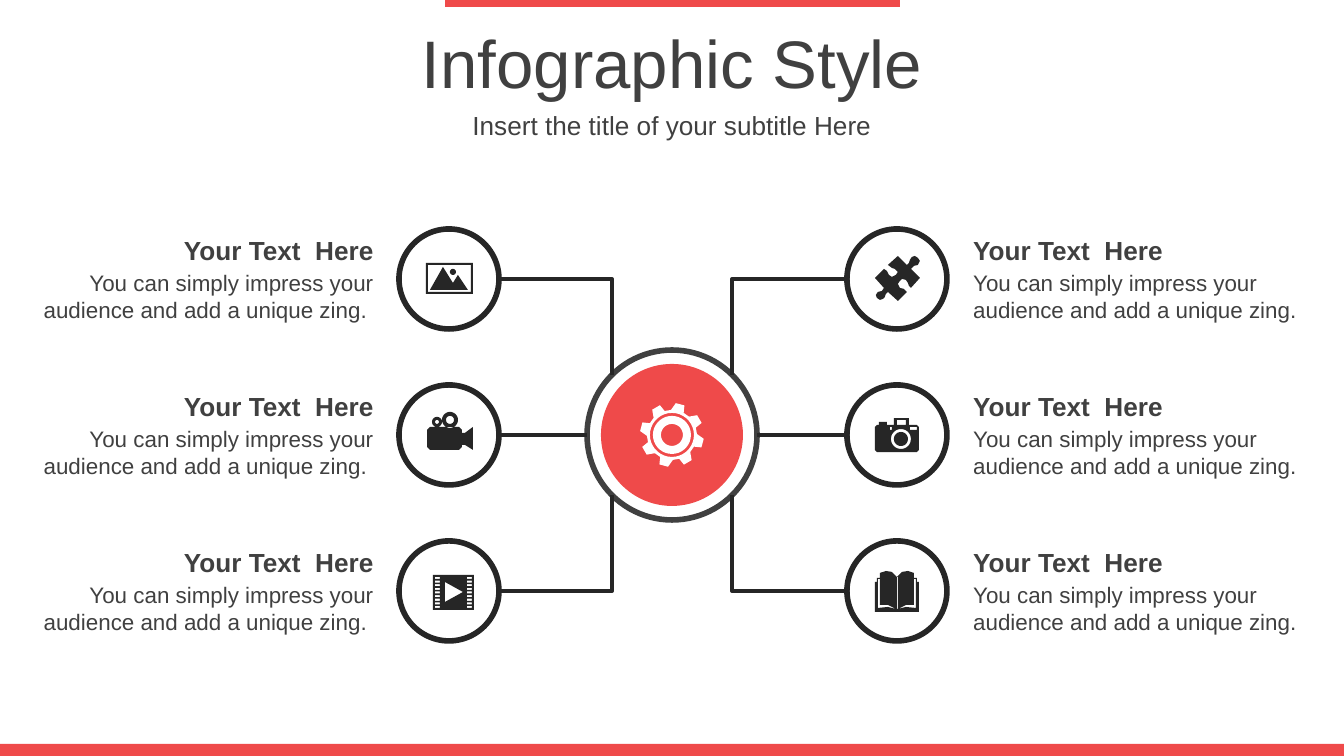
import math

import lxml.etree
import pptx
import pptx.dml.color
import pptx.enum.shapes
import pptx.enum.text
import pptx.oxml.ns
import pptx.util

ALIGN = pptx.enum.text.PP_ALIGN
SHAPE = pptx.enum.shapes.MSO_SHAPE
LINK = pptx.enum.shapes.MSO_CONNECTOR

PX = 914400 / 134.4
WIDTH, HEIGHT = 1344, 756
COLORS = {"accent": "EF4A4A", "text": "404040", "dark": "262626", "white": "FFFFFF"}
FONT = "Arial"

TITLE = "Infographic Style"
SUBTITLE = "Insert the title of your subtitle Here"
HEADING = "Your Text  Here"
DETAIL = "You can simply impress your audience and add a unique zing."

HUB_X, HUB_Y = 672, 435
HUB_SIZE, CORE_SIZE, NODE_SIZE = 170, 142, 100
ROW_PITCH = 156
TEXT_WIDTH = 360
HUB_CORNER = 60  # where the 45 degree point of the hub lies


def box(left, top, right, bottom, cut=0):
    """Rectangle outline, with its corners cut off by the given length."""
    if not cut:
        return [(left, top), (right, top), (right, bottom), (left, bottom)]
    return [(left + cut, top), (right - cut, top), (right, top + cut), (right, bottom - cut),
            (right - cut, bottom), (left + cut, bottom), (left, bottom - cut), (left, top + cut)]


def polar(radius, degrees, x=0, y=0):
    angle = math.radians(degrees)
    return x + radius * math.cos(angle), y + radius * math.sin(angle)


def disc(x, y, radius):
    return [polar(radius, degrees, x, y) for degrees in range(0, 360, 10)]


def mirrored(half):
    """Close a left half outline with its mirror image."""
    return half + [(-x, y) for x, y in reversed(half)]


# Outlines in px from the centre of the circle; an outline inside another is a hole.
PICTURE = [
    box(-23, -16, 24, 15), box(-21, -14, 22, 13), disc(4, -7, 3),
    [(-6, -12), (4, 4), (9, -4), (19, 11), (-19, 11)],
]
MOVIE_CAMERA = [
    box(-22, -8, 13, 15, cut=3), [(13, -2), (16, -2), (24, -8), (24, 15), (16, 10), (13, 10)],
    disc(-12, -13, 5), disc(-12, -13, 2), disc(1, -15, 8), disc(1, -15, 4),
]
FILM = [box(-16, -16, 25, 19), [(-4, -9), (14, 1), (-4, 11)]] + [
    box(left, top, left + 5, top + 2)
    for left in (-14, 18) for top in (-14 + row * 29 / 8 for row in range(9))
]
PUZZLE = [[
    (21, -21), (23, -18), (21, -14), (17, -13), (14, -10), (23, -1), (14, 9), (12, 7),
    (11, 4), (9, 1), (5, 0), (3, 2), (1, 5), (3, 9), (7, 10), (10, 13), (1, 22), (-9, 13),
    (-11, 15), (-12, 18), (-14, 20), (-17, 21), (-20, 19), (-21, 16), (-19, 13), (-15, 12),
    (-13, 9), (-22, -1), (-13, -10), (-10, -8), (-8, -4), (-5, -2), (-1, -4), (1, -7),
    (-2, -10), (-5, -11), (-9, -14), (1, -23), (10, -14), (12, -16), (13, -19), (15, -22),
    (18, -23),
]]
CAMERA = [
    [(-20, -10), (-18, -10), (-18, -13), (-10, -13), (-10, -10), (-3, -10), (-3, -17),
     (12, -17), (12, -10), (20, -10), (22, -8), (22, 15), (20, 17), (-20, 17), (-22, 15),
     (-22, -8)],
    box(0, -15, 9, -10), box(-7, -8, -5, -5), box(13, -8, 20, -5),
    disc(4, 4, 10), disc(4, 4, 7),
]
PAGE_GAP = [(-19, -12), (-17, -12), (-17, 14), (-9, 14), (-1, 18), (-9, 16), (-19, 17)]
BOOK = [
    mirrored([(0, -14), (-5, -19), (-11, -20), (-17, -18), (-17, -13), (-20, -13),
              (-20, -9), (-22, -9), (-22, 21)]),
    PAGE_GAP, [(-x, y) for x, y in PAGE_GAP], box(0, -14, 1, 18),
]
TOOTH = [(32, -83), (32, -67), (25, -62), (25, -47)]
GEAR = [[polar(radius, degrees + turn) for turn in range(0, 360, 45)
         for radius, degrees in TOOTH]] + [disc(0, 0, radius) for radius in (22, 19, 11)]

SIDES = [
    {"direction": -1, "node_x": 449, "text_x": 27, "align": ALIGN.RIGHT,
     "detail": DETAIL + " ", "icons": [PICTURE, MOVIE_CAMERA, FILM]},
    {"direction": 1, "node_x": 897, "text_x": 960, "align": ALIGN.LEFT,
     "detail": DETAIL, "icons": [PUZZLE, CAMERA, BOOK]},
]


def emu(*lengths):
    return [round(length * PX) for length in lengths]


def rgb(name):
    return pptx.dml.color.RGBColor.from_string(COLORS[name])


def add_filled(kind, left, top, width, height, fill, line=None):
    shape = slide.shapes.add_shape(kind, *emu(left, top, width, height))
    paint(shape, fill)
    if line:
        shape.line.color.rgb = rgb(line)
        shape.line.width = pptx.util.Pt(3)


def paint(shape, fill):
    shape.shadow.inherit = False
    shape.fill.solid()
    shape.fill.fore_color.rgb = rgb(fill)
    shape.line.fill.background()


def add_circle(x, y, size, fill, line=None):
    add_filled(SHAPE.OVAL, x - size / 2, y - size / 2, size, size, fill, line)


def add_icon(outlines, x, y, fill):
    """Draw all outlines as one freeform, in tenths of a px."""
    points = [[((x + dx) * 10, (y + dy) * 10) for dx, dy in outline] for outline in outlines]
    builder = slide.shapes.build_freeform(*points[0][0], scale=PX / 10)
    for index, outline in enumerate(points):
        if index:
            builder.move_to(*outline[0])
        builder.add_line_segments(outline[1:], close=True)
    paint(builder.convert_to_shape(), fill)


def add_link(kind, start, end):
    link = slide.shapes.add_connector(kind, *emu(*start, *end))
    link.line.color.rgb = rgb("dark")
    link.line.width = pptx.util.Pt(2)
    properties = link._element.spPr
    if kind == LINK.ELBOW:
        properties.prstGeom.set("prst", "bentConnector2")
    lxml.etree.SubElement(properties, pptx.oxml.ns.qn("a:effectLst"))


def put_text(text, left, top, width, height, size, align, bold=False, holder=None):
    holder = holder or slide.shapes.add_textbox(0, 0, 0, 0)
    holder.left, holder.top, holder.width, holder.height = emu(left, top, width, height)
    frame = holder.text_frame
    frame.text = text
    frame.word_wrap = True
    frame.auto_size = pptx.enum.text.MSO_AUTO_SIZE.NONE
    frame.vertical_anchor = pptx.enum.text.MSO_ANCHOR.MIDDLE
    paragraph = frame.paragraphs[0]
    paragraph.alignment = align
    paragraph.space_before = pptx.util.Pt(0)
    font = paragraph.runs[0].font
    font.name, font.size, font.bold = FONT, pptx.util.Pt(size), bold
    font.color.rgb = rgb("text")


presentation = pptx.Presentation()
presentation.slide_width, presentation.slide_height = emu(WIDTH, HEIGHT)
slide = presentation.slides.add_slide(presentation.slide_layouts[0])

add_filled(SHAPE.RECTANGLE, 445, 0, 455, 7, "accent")
add_filled(SHAPE.RECTANGLE, 0, 744, WIDTH, 12, "accent")
put_text(TITLE, 0, 19, WIDTH, 85, 36, ALIGN.CENTER, holder=slide.shapes.title)
put_text(SUBTITLE, 0, 104, WIDTH, 42, 14, ALIGN.CENTER, holder=slide.placeholders[1])

add_circle(HUB_X, HUB_Y, HUB_SIZE, "white", "text")
add_circle(HUB_X, HUB_Y, CORE_SIZE, "accent")
add_icon(GEAR, HUB_X, HUB_Y, "white")

for side in SIDES:
    direction, node_x = side["direction"], side["node_x"]
    for row, icon in zip((-1, 0, 1), side["icons"]):
        y = HUB_Y + row * ROW_PITCH
        reach = HUB_CORNER if row else HUB_SIZE / 2
        add_link(LINK.ELBOW if row else LINK.STRAIGHT,
                 (node_x - direction * NODE_SIZE / 2, y),
                 (HUB_X + direction * reach, HUB_Y + row * HUB_CORNER))
        add_circle(node_x, y, NODE_SIZE, "white", "dark")
        add_icon(icon, node_x, y, "dark")
        put_text(HEADING, side["text_x"], y - 52, TEXT_WIDTH, 46, 14, side["align"], bold=True)
        put_text(side["detail"], side["text_x"], y - 16, TEXT_WIDTH, 67, 12, side["align"])

presentation.save("out.pptx")
